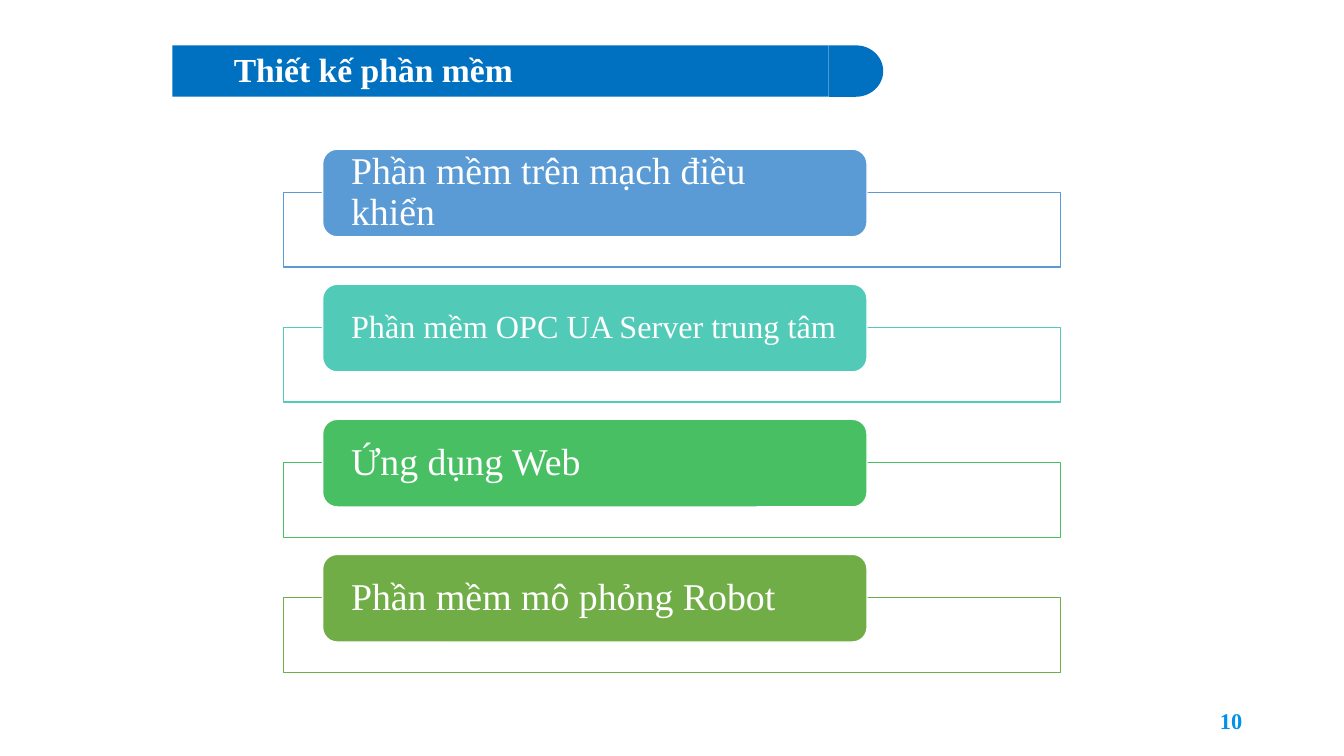
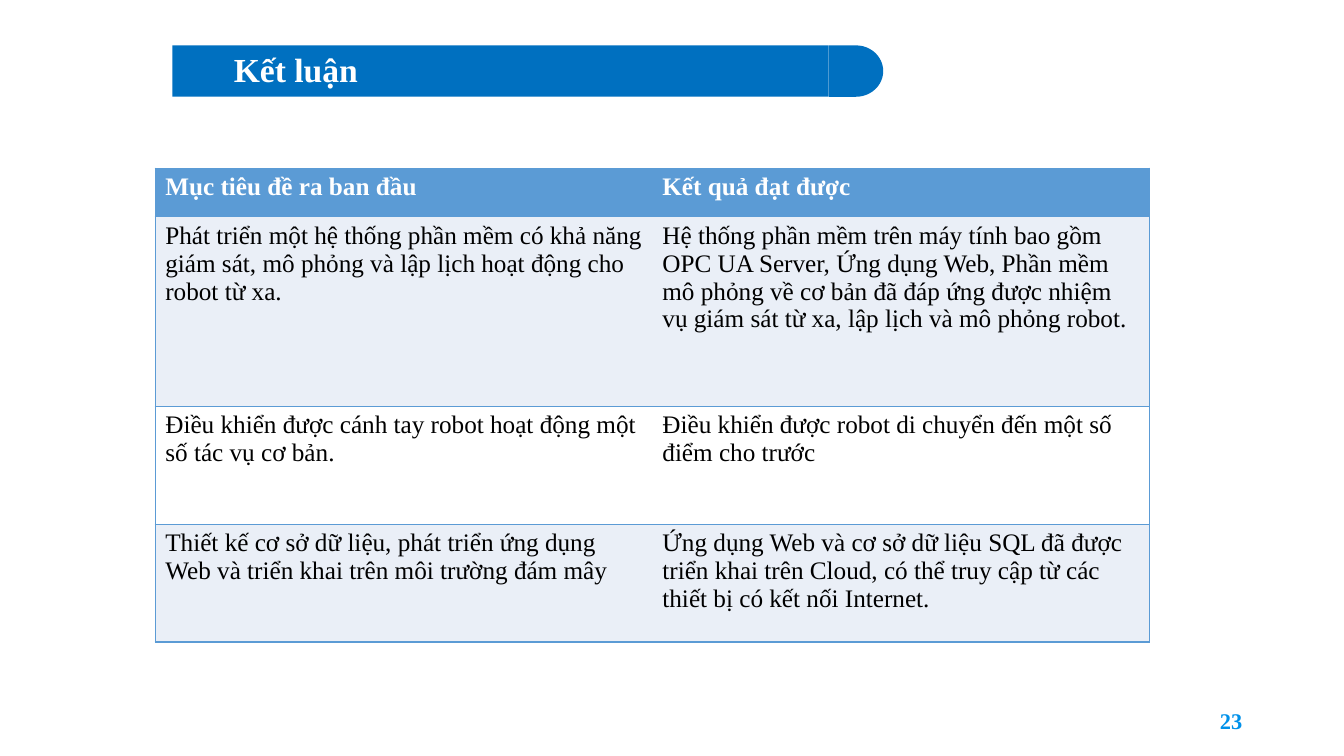
"""Build the software design and conclusion slides of a robot project."""
from dataclasses import dataclass

import lxml.etree
import pptx
import pptx.dml.color
import pptx.enum.shapes
import pptx.enum.text
import pptx.oxml.ns
import pptx.presentation
import pptx.shapes.autoshape
import pptx.slide
import pptx.table
import pptx.text.text
import pptx.util

Inches = pptx.util.Inches
RGBColor = pptx.dml.color.RGBColor
Shape = pptx.enum.shapes.MSO_SHAPE
Align = pptx.enum.text.PP_ALIGN
Anchor = pptx.enum.text.MSO_ANCHOR

FONT = "Times New Roman"
WHITE = RGBColor(0xFF, 0xFF, 0xFF)
BLACK = RGBColor(0x00, 0x00, 0x00)
BAND_BLUE = RGBColor(0x00, 0x70, 0xC0)
PAGE_BLUE = RGBColor(0x00, 0x91, 0xEA)
ACCENT_BLUE = RGBColor(0x5B, 0x9B, 0xD5)
TEAL = RGBColor(0x52, 0xCA, 0xB8)
GREEN = RGBColor(0x49, 0xBF, 0x64)
OLIVE = RGBColor(0x70, 0xAD, 0x47)
ROW_TINT = RGBColor(0xEA, 0xEF, 0xF7)


@dataclass(frozen=True)
class Box:
    left: float
    top: float
    width: float
    height: float

    def emu(self) -> tuple[int, int, int, int]:
        return Inches(self.left), Inches(self.top), Inches(self.width), Inches(self.height)


@dataclass(frozen=True)
class TextStyle:
    size: float
    color: RGBColor
    bold: bool = False


@dataclass(frozen=True)
class Component:
    label: str
    color: RGBColor
    size: float = 27


@dataclass(frozen=True)
class Outcome:
    goal: str
    result: str
    height: float
    fill: RGBColor
    style: TextStyle


TITLE_STYLE = TextStyle(24, WHITE, True)
PAGE_STYLE = TextStyle(16, PAGE_BLUE, True)
HEADER_STYLE = TextStyle(18, WHITE, True)
BODY_STYLE = TextStyle(18, BLACK)

COMPONENTS = (
    Component("Phần mềm trên mạch điều khiển", ACCENT_BLUE),
    Component("Phần mềm OPC UA Server trung tâm", TEAL, 23),
    Component("Ứng dụng Web", GREEN),
    Component("Phần mềm mô phỏng Robot", OLIVE),
)
COMPONENT_TOP = 1.48
COMPONENT_PITCH = 1.34

OUTCOMES = (
    Outcome("Mục tiêu đề ra ban đầu", "Kết quả đạt được", 0.48, ACCENT_BLUE, HEADER_STYLE),
    Outcome(
        "Phát triển một hệ thống phần mềm có khả năng giám sát, mô phỏng và lập lịch "
        "hoạt động cho robot từ xa.",
        "Hệ thống phần mềm trên máy tính bao gồm OPC UA Server, Ứng dụng Web, Phần mềm "
        "mô phỏng về cơ bản đã đáp ứng được nhiệm vụ giám sát từ xa, lập lịch và mô phỏng robot.",
        1.88, ROW_TINT, BODY_STYLE,
    ),
    Outcome(
        "Điều khiển được cánh tay robot hoạt động một số tác vụ cơ bản.",
        "Điều khiển được robot di chuyển đến một số điểm cho trước",
        1.17, WHITE, BODY_STYLE,
    ),
    Outcome(
        "Thiết kế cơ sở dữ liệu, phát triển ứng dụng Web và triển khai trên môi trường đám mây",
        "Ứng dụng Web và cơ sở dữ liệu SQL đã được triển khai trên Cloud, có thể truy cập từ "
        "các thiết bị có kết nối Internet.",
        1.17, ROW_TINT, BODY_STYLE,
    ),
)
TABLE_BOX = Box(1.54, 1.67, 9.86, sum(outcome.height for outcome in OUTCOMES))


def write(frame: pptx.text.text.TextFrame, text: str, style: TextStyle,
          align: Align = Align.LEFT) -> None:
    frame.word_wrap = True
    paragraph = frame.paragraphs[0]
    paragraph.alignment = align
    run = paragraph.add_run()
    run.text = text
    run.font.name = FONT
    run.font.size = pptx.util.Pt(style.size)
    run.font.bold = style.bold
    run.font.color.rgb = style.color


def add_text(slide: pptx.slide.Slide, box: Box, text: str, style: TextStyle,
             align: Align = Align.LEFT) -> None:
    frame = slide.shapes.add_textbox(*box.emu()).text_frame
    frame.vertical_anchor = Anchor.MIDDLE
    write(frame, text, style, align)


def add_panel(slide: pptx.slide.Slide, preset: Shape, box: Box, fill: RGBColor,
              line: RGBColor | None = None) -> pptx.shapes.autoshape.Shape:
    panel = slide.shapes.add_shape(preset, *box.emu())
    panel.shadow.inherit = False
    panel.fill.solid()
    panel.fill.fore_color.rgb = fill
    if line is None:
        panel.line.fill.background()
    else:
        panel.line.color.rgb = line
        panel.line.width = pptx.util.Pt(1)
    return panel


def add_page(deck: pptx.presentation.Presentation, title: str, number: int) -> pptx.slide.Slide:
    slide = deck.slides.add_slide(deck.slide_layouts[6])
    add_text(slide, Box(9.42, 6.95, 3, 0.4), str(number), PAGE_STYLE, Align.RIGHT)
    add_panel(slide, Shape.RECTANGLE, Box(1.71, 0.45, 6.51, 0.51), BAND_BLUE)
    add_panel(slide, Shape.FLOWCHART_DELAY, Box(8.22, 0.45, 0.54, 0.51), BAND_BLUE)
    add_text(slide, Box(2.22, 0.44, 4.75, 0.5), title, TITLE_STYLE)
    return slide


def add_component(slide: pptx.slide.Slide, component: Component, top: float) -> None:
    add_panel(slide, Shape.RECTANGLE, Box(2.81, top + 0.43, 7.71, 0.74), WHITE, component.color)
    label = add_panel(slide, Shape.ROUNDED_RECTANGLE, Box(3.2, top, 5.4, 0.87),
                      component.color, WHITE)
    frame = label.text_frame
    frame.vertical_anchor = Anchor.MIDDLE
    frame.margin_left = frame.margin_right = Inches(0.24)
    frame.margin_top = frame.margin_bottom = 0
    write(frame, component.label, TextStyle(component.size, WHITE))
    frame.paragraphs[0].line_spacing = 0.9


def set_borders(cell: pptx.table._Cell, hidden_side: str) -> None:
    qn = pptx.oxml.ns.qn
    properties = cell._tc.get_or_add_tcPr()
    for side in ("lnL", "lnR", "lnT", "lnB"):
        border = lxml.etree.SubElement(properties, qn(f"a:{side}"), w=str(pptx.util.Pt(1)))
        if side == hidden_side:
            lxml.etree.SubElement(border, qn("a:noFill"))
        else:
            fill = lxml.etree.SubElement(border, qn("a:solidFill"))
            lxml.etree.SubElement(fill, qn("a:srgbClr"), val=str(ACCENT_BLUE))


def add_outcomes(slide: pptx.slide.Slide) -> None:
    table = slide.shapes.add_table(len(OUTCOMES), 2, *TABLE_BOX.emu()).table
    table.first_row = table.horz_banding = False
    for row, outcome in zip(table.rows, OUTCOMES):
        row.height = Inches(outcome.height)
        texts = (outcome.goal, outcome.result)
        for cell, text, inner_side in zip(row.cells, texts, ("lnR", "lnL")):
            set_borders(cell, inner_side)
            cell.fill.solid()
            cell.fill.fore_color.rgb = outcome.fill
            write(cell.text_frame, text, outcome.style)


def main() -> None:
    deck = pptx.Presentation()
    deck.slide_width, deck.slide_height = Inches(13.33), Inches(7.5)
    design = add_page(deck, "Thiết kế phần mềm", 10)
    for index, component in enumerate(COMPONENTS):
        add_component(design, component, COMPONENT_TOP + index * COMPONENT_PITCH)
    add_outcomes(add_page(deck, "Kết luận", 23))
    deck.save("out.pptx")


if __name__ == "__main__":
    main()
